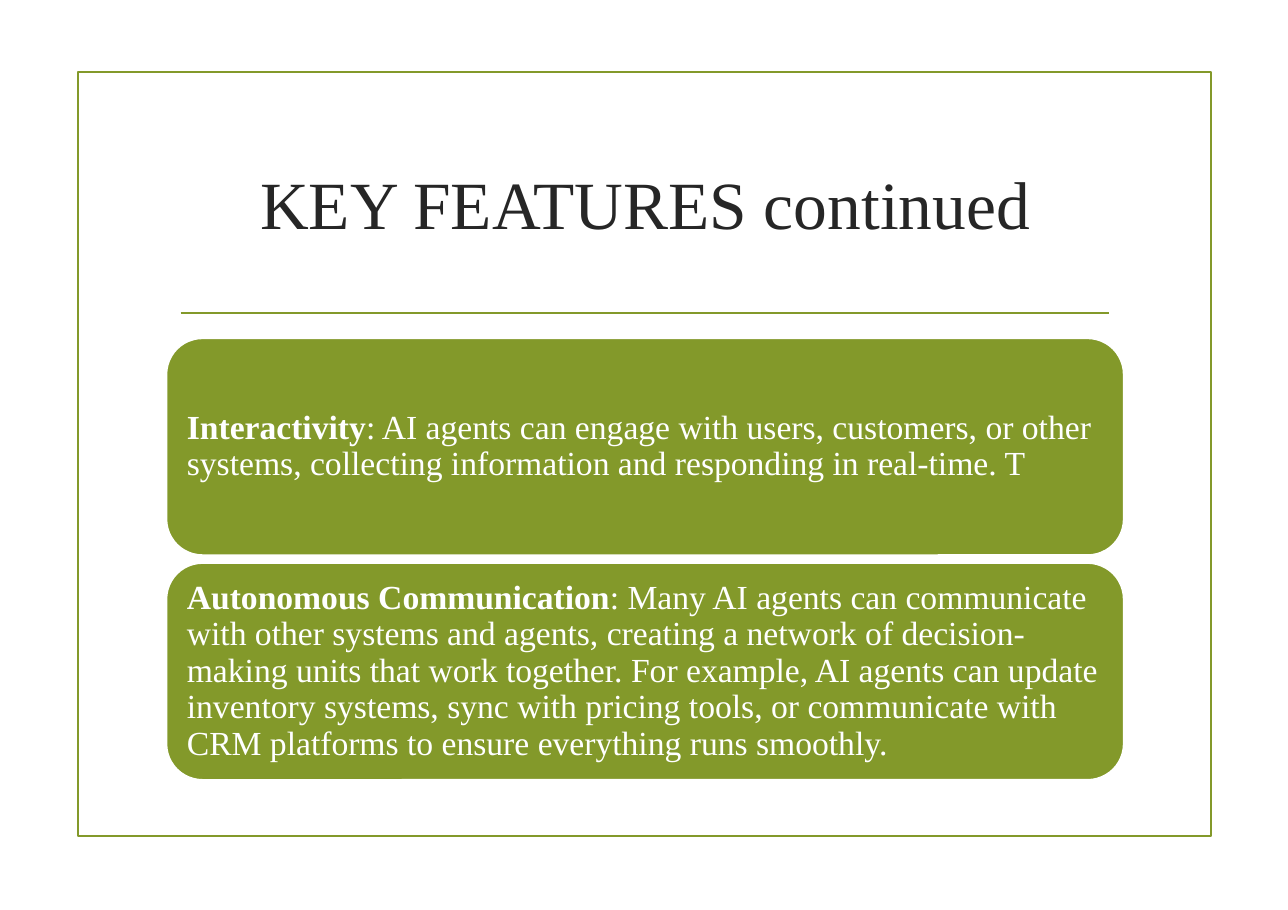
from lxml import etree
from pptx import Presentation
from pptx.dml.color import RGBColor
from pptx.enum.shapes import MSO_CONNECTOR, MSO_SHAPE
from pptx.enum.text import MSO_ANCHOR, PP_ALIGN
from pptx.oxml.ns import qn
from pptx.util import Inches, Pt

RECTANGLE = MSO_SHAPE.RECTANGLE
ROUNDED_RECTANGLE = MSO_SHAPE.ROUNDED_RECTANGLE
STRAIGHT = MSO_CONNECTOR.STRAIGHT
MIDDLE = MSO_ANCHOR.MIDDLE
LEFT = PP_ALIGN.LEFT
CENTER = PP_ALIGN.CENTER

GREEN = RGBColor(0x83, 0x99, 0x2A)
WHITE = RGBColor(0xFF, 0xFF, 0xFF)
DARK = RGBColor(0x26, 0x26, 0x26)
FONT = "Times New Roman"
LINE_WIDTH = Pt(1.25)

CARD_TOP = 3.07
CARD_STEP = 2.04
FEATURES = [
    (
        "Interactivity",
        ": AI agents can engage with users, customers, or other systems, "
        "collecting information and responding in real-time. T",
    ),
    (
        "Autonomous Communication",
        ": Many AI agents can communicate with other systems and agents, "
        "creating a network of decision-making units that work together. "
        "For example, AI agents can update inventory systems, sync with "
        "pricing tools, or communicate with CRM platforms to ensure "
        "everything runs smoothly.",
    ),
]


def style_paragraph(paragraph, size, color, alignment):
    paragraph.alignment = alignment
    paragraph.line_spacing = 0.9
    paragraph.font.name = FONT
    paragraph.font.size = Pt(size)
    paragraph.font.color.rgb = color


def add_box(slide, kind, left, top, width, height, line_color):
    shape = slide.shapes.add_shape(
        kind, Inches(left), Inches(top), Inches(width), Inches(height)
    )
    shape.shadow.inherit = False
    shape.line.color.rgb = line_color
    shape.line.width = LINE_WIDTH
    return shape


def add_frame(slide):
    frame = add_box(slide, RECTANGLE, 0.71, 0.65, 10.28, 6.94, GREEN)
    frame.fill.background()


def add_divider(slide):
    divider = slide.shapes.add_connector(
        STRAIGHT, Inches(1.64), Inches(2.84), Inches(10.07), Inches(2.84)
    )
    divider.line.color.rgb = GREEN
    divider.line.width = LINE_WIDTH
    etree.SubElement(divider._element.spPr, qn("a:effectLst"))


def add_title(slide, text):
    title = slide.shapes.add_textbox(
        Inches(1.51), Inches(1.1), Inches(8.7), Inches(1.57)
    )
    text_frame = title.text_frame
    text_frame.word_wrap = True
    text_frame.vertical_anchor = MIDDLE
    paragraph = text_frame.paragraphs[0]
    paragraph.text = text
    style_paragraph(paragraph, 44.1, DARK, CENTER)


def add_feature_card(slide, top, heading, description):
    card = add_box(slide, ROUNDED_RECTANGLE, 1.51, top, 8.69, 1.97, WHITE)
    card.fill.solid()
    card.fill.fore_color.rgb = GREEN
    text_frame = card.text_frame
    text_frame.word_wrap = True
    text_frame.vertical_anchor = MIDDLE
    text_frame.margin_left = text_frame.margin_right = Inches(0.09)
    text_frame.margin_top = text_frame.margin_bottom = Inches(0.09)
    paragraph = text_frame.paragraphs[0]
    style_paragraph(paragraph, 22, WHITE, LEFT)
    for text, bold in ((heading, True), (description, False)):
        run = paragraph.add_run()
        run.text = text
        run.font.bold = bold


def main():
    presentation = Presentation()
    presentation.slide_width = Inches(11.69)
    presentation.slide_height = Inches(8.26)
    slide = presentation.slides.add_slide(presentation.slide_layouts[6])
    add_frame(slide)
    add_divider(slide)
    add_title(slide, "KEY FEATURES continued")
    for index, (heading, description) in enumerate(FEATURES):
        add_feature_card(
            slide, CARD_TOP + index * CARD_STEP, heading, description
        )
    presentation.save("out.pptx")


if __name__ == "__main__":
    main()
